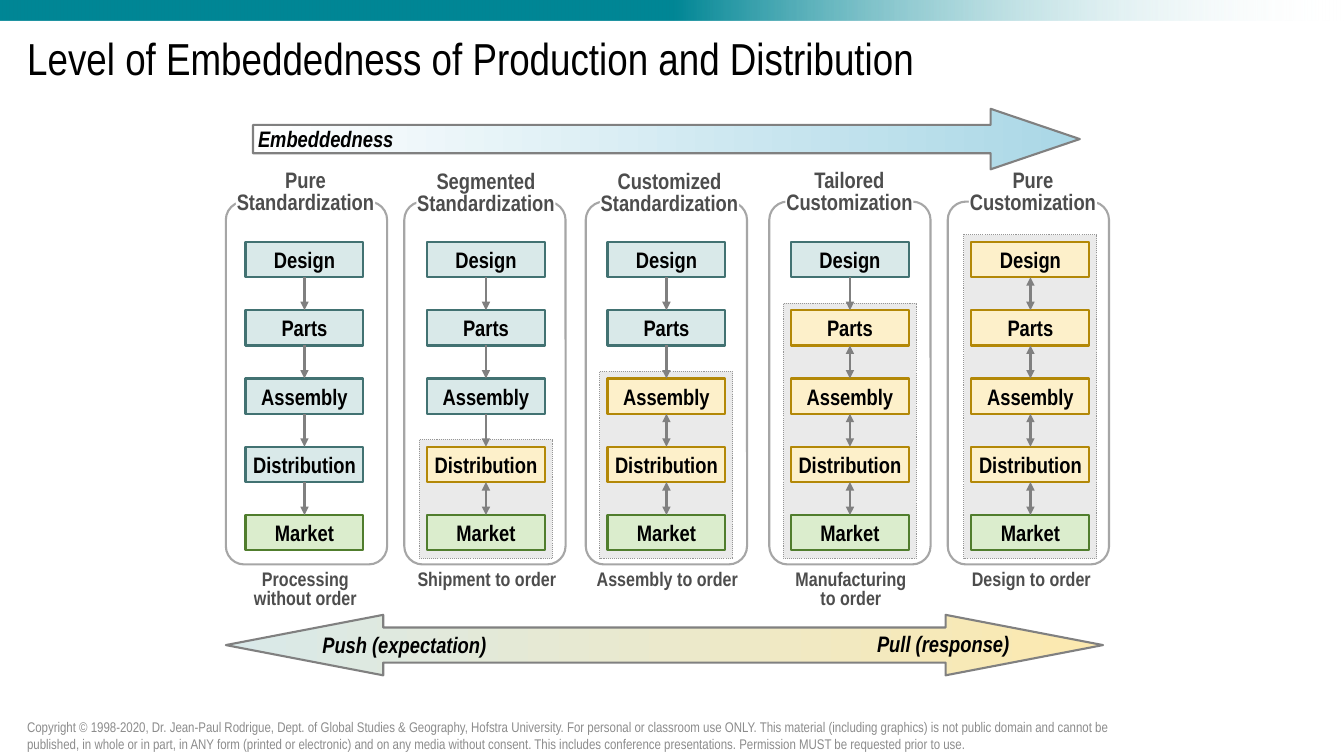
from dataclasses import dataclass

from lxml import etree
from pptx import Presentation
from pptx.dml.color import RGBColor
from pptx.enum.dml import MSO_LINE
from pptx.enum.shapes import MSO_CONNECTOR, MSO_SHAPE
from pptx.enum.text import MSO_ANCHOR, MSO_AUTO_SIZE, PP_ALIGN
from pptx.oxml.ns import qn
from pptx.util import Inches, Pt

RECT, ROUND = MSO_SHAPE.RECTANGLE, MSO_SHAPE.ROUNDED_RECTANGLE
RIGHT_ARROW, DOUBLE_ARROW = MSO_SHAPE.RIGHT_ARROW, MSO_SHAPE.LEFT_RIGHT_ARROW
LEFT, CENTER = PP_ALIGN.LEFT, PP_ALIGN.CENTER
TOP, MIDDLE = MSO_ANCHOR.TOP, MSO_ANCHOR.MIDDLE

# Content
TITLE = "Level of Embeddedness of Production and Distribution"
COPYRIGHT = (
    "Copyright © 1998-2020, Dr. Jean-Paul Rodrigue, Dept. of Global Studies & Geography, "
    "Hofstra University. For personal or classroom use ONLY. This material (including "
    "graphics) is not public domain and cannot be published, in whole or in part, in ANY "
    "form (printed or electronic) and on any media without consent. This includes conference "
    "presentations. Permission MUST be requested prior to use."
)
STAGES = ["Design", "Parts", "Assembly", "Distribution", "Market"]
# Heading, caption, centre of boxes, left of panel, left, top and width of heading
COLUMNS = [
    ("Pure\nStandardization", "Processing\nwithout order", 3.02, 2.24, 2.34, 1.7, 1.38),
    ("Segmented\nStandardization", "Shipment to order", 4.82, 4.01, 4.13, 1.71, 1.38),
    ("Customized\nStandardization", "Assembly to order", 6.61, 5.81, 5.95, 1.71, 1.38),
    ("Tailored\nCustomization", "Manufacturing\nto order", 8.43, 7.63, 7.79, 1.7, 1.27),
    ("Pure\nCustomization", "Design to order", 10.22, 9.4, 9.61, 1.7, 1.27),
]
FLOW_LABELS = [("Push (expectation)", 3.19, 6.31, 1.64), ("Pull (response)", 8.69, 6.3, 1.33)]


@dataclass
class Theme:
    font: str = "Arial Narrow"
    title: int = 32
    body: int = 16
    caption: int = 14
    small: int = 10
    black: str = "000000"
    white: str = "FFFFFF"
    label: str = "4D4D4D"
    footer: str = "8C8C8C"
    teal: str = "008695"
    blue: str = "AAD7E6"
    yellow: str = "FCE9AF"
    arrow: str = "808080"
    panel: str = "A6A6A6"
    zone: tuple = ("EAEAEA", "969696")
    push: tuple = ("D9E9E9", "427272")
    pull: tuple = ("FDF0CA", "B38807")
    market: tuple = ("DBEDCD", "507D2D")


T = Theme()
BOX_W, BOX_H, BOX_TOP = 1.17, 0.35, 2.4
PITCH = (5.11 - BOX_TOP) / (len(STAGES) - 1)
ZONE_W, ZONE_PAD, ZONE_BOTTOM = 1.32, 0.07, 5.54

prs = Presentation()
prs.slide_width, prs.slide_height = Inches(13.33), Inches(7.5)
s = prs.slides.add_slide(prs.slide_layouts[5])


def rgb(color):
    return RGBColor.from_string(color)


def write(sp, text, size, color=T.black, bold=True, italic=False, align=CENTER,
          anchor=TOP, spacing=None, wrap=False, inset=0.0, side=None):
    tf = sp.text_frame
    tf.word_wrap, tf.auto_size, tf.vertical_anchor = wrap, MSO_AUTO_SIZE.NONE, anchor
    tf.margin_top = tf.margin_bottom = Inches(inset)
    tf.margin_left = tf.margin_right = Inches(inset if side is None else side)
    p = tf.paragraphs[0]
    p.alignment = align
    if spacing:
        p.line_spacing = spacing
    for i, line in enumerate(text.split("\n")):
        if i:
            p.add_line_break()
        r = p.add_run()
        r.text = line
        r.font.name, r.font.size = T.font, Pt(size)
        r.font.bold, r.font.italic = bold, italic
        r.font.color.rgb = rgb(color)


def shape(kind, x, y, w, h, fill=None, line=None, width=1.5, adj=()):
    sp = s.shapes.add_shape(kind, Inches(x), Inches(y), Inches(w), Inches(h))
    sp.shadow.inherit = False
    for i, value in enumerate(adj):
        sp.adjustments[i] = value
    if fill is None:
        sp.fill.background()
    elif isinstance(fill, str):
        sp.fill.solid()
        sp.fill.fore_color.rgb = rgb(fill)
    else:
        sp.fill.gradient()
        sp.fill.gradient_angle = 0
        for stop, (position, color) in zip(sp.fill.gradient_stops, fill):
            stop.position, stop.color.rgb = position, rgb(color)
    if line:
        sp.line.color.rgb, sp.line.width = rgb(line), Pt(width)
    else:
        sp.line.fill.background()
    return sp


def text_box(x, y, w, h, text, size, **style):
    tb = s.shapes.add_textbox(Inches(x), Inches(y), Inches(w), Inches(h))
    write(tb, text, size, **style)


def link(upper, lower, both_ways):
    c = s.shapes.add_connector(MSO_CONNECTOR.STRAIGHT, 0, 0, 0, 0)
    c.begin_connect(upper, 2)
    c.end_connect(lower, 0)
    c.line.color.rgb, c.line.width = rgb(T.arrow), Pt(2)
    props = c._element.spPr
    for end in ["a:headEnd", "a:tailEnd"] if both_ways else ["a:tailEnd"]:
        etree.SubElement(props.find(qn("a:ln")), qn(end), type="triangle")
    etree.SubElement(props, qn("a:effectLst"))


# Top band fading to transparent
band = shape(RECT, 0, 0, 13.33, 0.2, [(0.5, T.teal), (1, T.white)])
last_color = list(band._element.spPr.iter(qn("a:srgbClr")))[-1]
etree.SubElement(last_color, qn("a:alpha"), val="0")

# Title and copyright
title = s.shapes.title
title.left, title.top, title.width, title.height = map(Inches, (0.17, 0.2, 13, 0.8))
write(title, TITLE, T.title, bold=False, align=LEFT, anchor=MIDDLE, spacing=0.9,
      wrap=True, inset=0.05, side=0.1)
text_box(0.17, 7.1, 10.95, 0.4, COPYRIGHT, T.small, color=T.footer, bold=False,
         align=LEFT, anchor=MIDDLE, wrap=True, inset=0.05, side=0.1)

# Columns: each one pulls one more stage than the column before
for k, (heading, caption, cx, panel_x, head_x, head_y, head_w) in enumerate(COLUMNS):
    first_pull = len(STAGES) - 1 - k
    if k:
        zone_y = BOX_TOP + first_pull * PITCH - ZONE_PAD
        zone = shape(RECT, cx - ZONE_W / 2, zone_y, ZONE_W, ZONE_BOTTOM - zone_y,
                     *T.zone, width=0.75)
        zone.line.dash_style = MSO_LINE.ROUND_DOT
    boxes = []
    for i, stage in enumerate(STAGES):
        colors = T.market if stage == "Market" else T.pull if i >= first_pull else T.push
        box = shape(RECT, cx - BOX_W / 2, BOX_TOP + i * PITCH, BOX_W, BOX_H, *colors)
        write(box, stage, T.body, anchor=MIDDLE)
        boxes.append(box)
    for i, (upper, lower) in enumerate(zip(boxes, boxes[1:])):
        link(upper, lower, i >= first_pull)
    shape(ROUND, panel_x, 2, 1.6, 3.6, line=T.panel, adj=[0.114])
    head = shape(RECT, head_x, head_y, head_w, 0.43, T.white)
    write(head, heading, T.body, color=T.label, spacing=0.8)
    text_box(cx - 0.69, 5.67, 1.4, 0.38, caption, T.caption, color=T.label, spacing=0.8)

# Embeddedness arrow
arrow = shape(RIGHT_ARROW, 2.51, 1.08, 8.2, 0.6, [(0, T.white), (1, T.blue)], T.arrow,
              adj=[0.469, 1.473])
write(arrow, "Embeddedness", T.body, italic=True, align=LEFT, anchor=MIDDLE, side=0.05)

# Push and pull arrow
shape(DOUBLE_ARROW, 2.24, 6.1, 8.7, 0.6, [(0, T.push[0]), (1, T.yellow)], T.arrow,
      adj=[0.58, 2.602])
for text, x, y, w in FLOW_LABELS:
    text_box(x, y, w, 0.22, text, T.body, italic=True, spacing=0.8)

prs.save("out.pptx")
